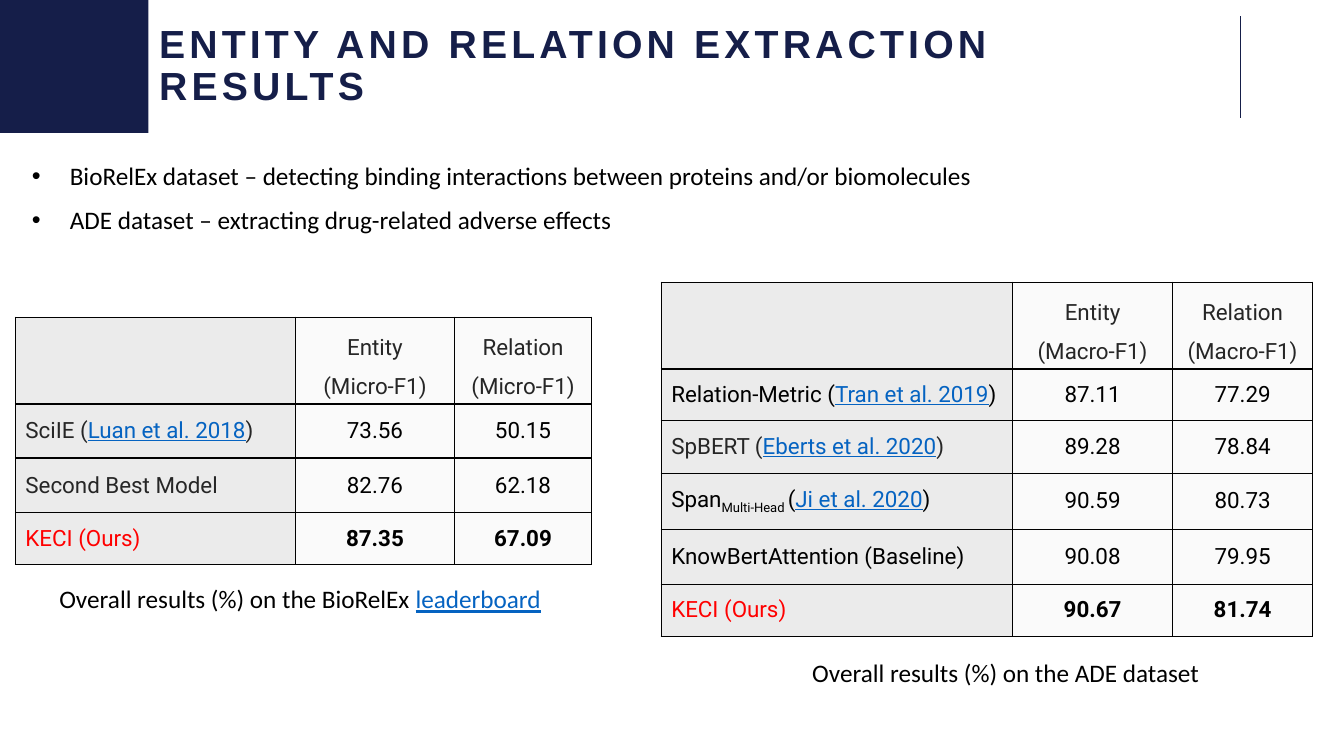
import pptx
import pptx.dml.color
import pptx.enum.shapes
import pptx.enum.text
import pptx.oxml
import pptx.oxml.ns
import pptx.util

Pt = pptx.util.Pt
ALIGN = pptx.enum.text.PP_ALIGN
ANCHOR = pptx.enum.text.MSO_ANCHOR
NAVY, BLACK, GREY, RED, BLUE = "151E49", "000000", "262626", "FF0000", "0563C1"
LABEL_FILL, VALUE_FILL = "EBEBEB", "FAFAFA"
TITLE = {"name": "Arial", "size": Pt(28), "bold": True, "color": NAVY}
BODY = {"name": "Calibri", "size": Pt(18), "color": BLACK}
CELL = {"name": "Roboto", "size": Pt(16), "color": BLACK}
LINK = {"color": BLUE, "underline": True}


def color(value):
    return pptx.dml.color.RGBColor.from_string(value)


def element(xml):
    return pptx.oxml.parse_xml(xml.replace(">", f" {pptx.oxml.ns.nsdecls('a')}>", 1))


def add_span(para, text, formats):
    span = para.add_run()
    span.text = text
    for key, value in formats.items():
        if key == "color":
            span.font.color.rgb = color(value)
        elif key in ("spc", "baseline"):
            span._r.get_or_add_rPr().set(key, str(value))
        else:
            setattr(span.font, key, value)


def fill_frame(frame, paragraphs, base, **layout):
    """Write paragraphs, each a list of (text, format changes)."""
    for index, spans in enumerate(paragraphs):
        para = frame.add_paragraph() if index else frame.paragraphs[0]
        for key, value in layout.items():
            setattr(para, key, value)
        for text, changes in spans:
            add_span(para, text, {**base, **changes})


def add_text(page, left, top, width, height, paragraphs, base, wrap=True, **layout):
    box = page.shapes.add_textbox(Pt(left), Pt(top), Pt(width), Pt(height))
    box.text_frame.word_wrap = wrap
    fill_frame(box.text_frame, paragraphs, base, **layout)
    return box.text_frame


def add_header(page, left, top, width, height):
    block = page.shapes.add_shape(pptx.enum.shapes.MSO_SHAPE.RECTANGLE,
                                  Pt(left), Pt(top), Pt(106), Pt(height))
    block.shadow.inherit = False
    block.fill.solid()
    block.fill.fore_color.rgb = color(NAVY)
    block.line.fill.background()

    rule_x = Pt(left + width - 74)
    rule = page.shapes.add_connector(pptx.enum.shapes.MSO_CONNECTOR.STRAIGHT,
                                     rule_x, Pt(top + 11.5), rule_x, Pt(top + 84.2))
    rule.line.color.rgb = color(NAVY)
    rule.line.width = Pt(1)
    rule._element.spPr.append(element("<a:effectLst></a:effectLst>"))

    title = [[("ENTITY AND RELATION EXTRACTION RESULTS", {"spc": 300})]]
    frame = add_text(page, left + 106.6, top, 695.5, height, title, TITLE, line_spacing=0.9)
    frame.vertical_anchor = ANCHOR.MIDDLE


def add_bullets(page, left, top, width, height, lines):
    frame = add_text(page, left, top, width, height, [[(line, {})] for line in lines], BODY)
    for index, para in enumerate(frame.paragraphs):
        para.space_before = Pt(10 if index else 0)
        props = para._p.get_or_add_pPr()
        props.set("marL", str(Pt(27)))
        props.set("indent", str(-Pt(27)))
        props.append(element('<a:buFont typeface="Arial"></a:buFont>'))
        props.append(element('<a:buChar char="•"></a:buChar>'))


def style_cell(cell, fill):
    formats = {"vertical_anchor": ANCHOR.MIDDLE, "margin_left": Pt(7.2),
               "margin_right": Pt(7.2), "margin_top": Pt(2.2), "margin_bottom": Pt(2.2)}
    for key, value in formats.items():
        setattr(cell, key, value)
    props = cell._tc.get_or_add_tcPr()
    for side in ("lnL", "lnR", "lnT", "lnB"):
        props.append(element(f'<a:{side} w="{Pt(1)}"><a:solidFill>'
                             f'<a:srgbClr val="{BLACK}"/></a:solidFill></a:{side}>'))
    cell.fill.solid()
    cell.fill.fore_color.rgb = color(fill)


def add_results(page, left, top, widths, heights, metric, results):
    """Place a score table; the last result is the highlighted one."""
    grid = page.shapes.add_table(len(heights), len(widths), Pt(left), Pt(top),
                                 Pt(sum(widths)), Pt(sum(heights))).table
    grid.first_row = grid.horz_banding = False
    for column, width in zip(grid.columns, widths):
        column.width = Pt(width)
    for row, height in zip(grid.rows, heights):
        row.height = Pt(height)
    for row in range(len(heights)):
        for column in range(len(widths)):
            style_cell(grid.cell(row, column), VALUE_FILL if column else LABEL_FILL)

    headings = ([[("Entity", {})], [(metric, {})]], [[(f"Relation {metric}", {})]])
    for column, paragraphs in enumerate(headings, 1):
        fill_frame(grid.cell(0, column).text_frame, paragraphs, {**CELL, "color": GREY},
                   alignment=ALIGN.CENTER, line_spacing=1.5)
    for row, (label, *scores) in enumerate(results, 1):
        fill_frame(grid.cell(row, 0).text_frame, [label], CELL)
        for column, score in enumerate(scores, 1):
            fill_frame(grid.cell(row, column).text_frame, [[(score, {})]],
                       {**CELL, "bold": row == len(results)}, alignment=ALIGN.CENTER)


def cited(name, citation, shade):
    return [(f"{name} (", {"color": shade}), (citation, LINK), (")", {"color": shade})]


def build_page(page):
    add_header(page, 0, 0, 960, 95)
    add_bullets(page, 15.8, 110.9, 723, 65, [
        "BioRelEx dataset – detecting binding interactions between proteins and/or biomolecules",
        "ADE dataset – extracting drug-related adverse effects",
    ])
    ours = [("KECI (Ours)", {"color": RED})]
    add_results(page, 11, 226.6, [200, 113.8, 97.7], [60.6, 38.6, 39.2, 37], "(Micro-F1)", [
        (cited("SciIE", "Luan et al. 2018", GREY), "73.56", "50.15"),
        ([("Second Best Model", {"color": GREY})], "82.76", "62.18"),
        (ours, "87.35", "67.09"),
    ])
    add_text(page, 35.3, 413.3, 362, 29, [[
        ("Overall results (%) on the BioRelEx ", {}), ("leaderboard", LINK),
    ]], BODY, wrap=False)

    span_label = [("Span", {}), ("Multi-Head ", {"baseline": -25000}), ("(", {}),
                  ("Ji et al. 2020", LINK), (")", {})]
    add_results(page, 472.3, 201.6, [251, 114.3, 100], [62, 36.8, 37.8, 39.8, 39.3, 37.2],
                "(Macro-F1)", [
        (cited("Relation-Metric", "Tran et al. 2019", BLACK), "87.11", "77.29"),
        (cited("SpBERT", "Eberts et al. 2020", GREY), "89.28", "78.84"),
        (span_label, "90.59", "80.73"),
        ([("KnowBertAttention (Baseline)", {})], "90.08", "79.95"),
        (ours, "90.67", "81.74"),
    ])
    add_text(page, 573.1, 465.8, 294, 29,
             [[("Overall results (%) on the ADE dataset", {})]], BODY, wrap=False)


def main():
    deck = pptx.Presentation()
    deck.slide_width, deck.slide_height = Pt(960), Pt(540)
    build_page(deck.slides.add_slide(deck.slide_layouts[6]))
    deck.save("out.pptx")


if __name__ == "__main__":
    main()
